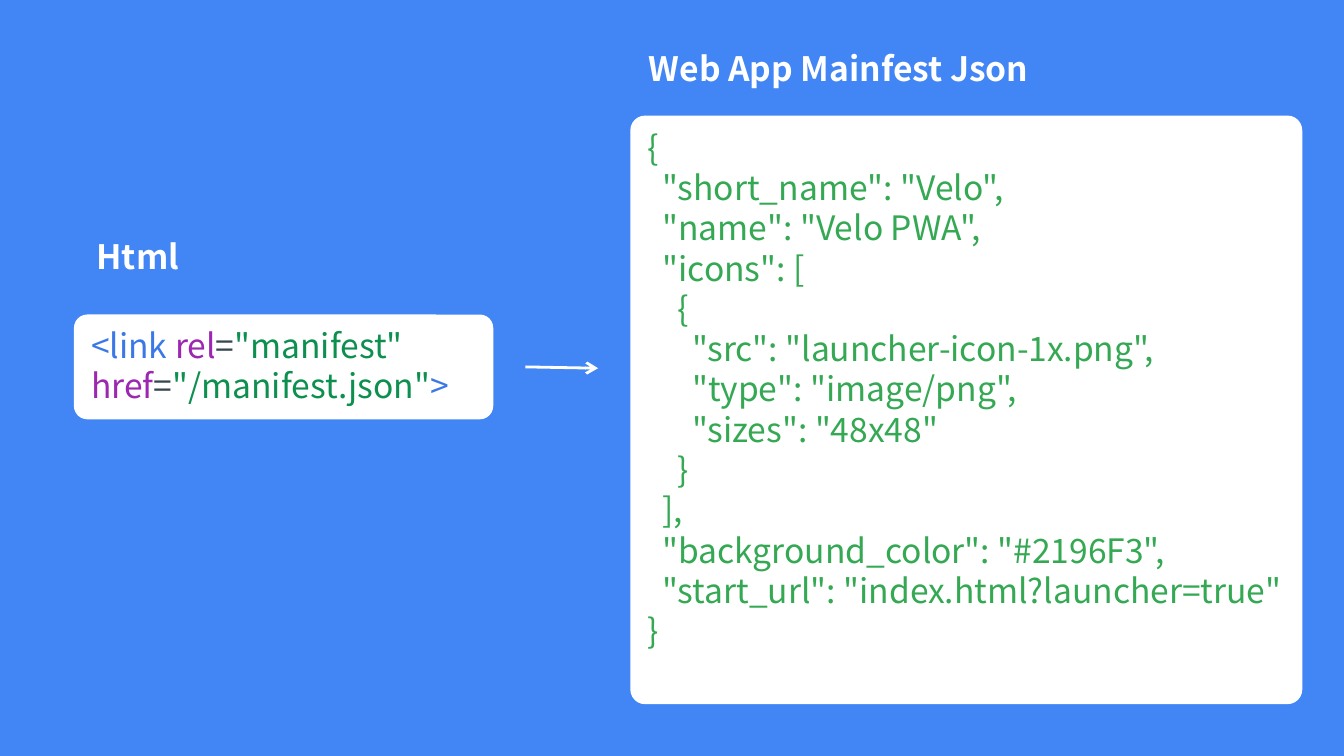
from lxml.etree import SubElement as Sub
from pptx import Presentation as Deck
from pptx.dml.color import RGBColor as Color
from pptx.enum.shapes import MSO_CONNECTOR as Link, MSO_SHAPE as Shape
from pptx.enum.text import MSO_ANCHOR as Anchor, PP_ALIGN as Align
from pptx.oxml.ns import qn
from pptx.util import Inches, Pt

BLUE = Color(0x42, 0x85, 0xF4)
WHITE = Color(0xFF, 0xFF, 0xFF)
GREEN = Color(0x34, 0xA8, 0x53)
TAG = Color(0x3B, 0x78, 0xE7)
ATTR = Color(0x9C, 0x27, 0xB0)
SIGN = Color(0x37, 0x47, 0x4F)
VALUE = Color(0x0D, 0x90, 0x4F)

FONT = {"name": "Noto Sans CJK SC", "size": Pt(18)}
STEP = 0.11  # indent of one nesting level

HTML = [
    ("<link ", TAG), ("rel", ATTR), ("=", SIGN), ('"manifest" ', VALUE),
    ("href", ATTR), ("=", SIGN), ('"/manifest.json"', VALUE), (">", TAG),
]
JSON = [
    (0, "{"),
    (1, '"short_name": "Velo",'),
    (1, '"name": "Velo PWA",'),
    (1, '"icons": ['),
    (2, "{"),
    (3, '"src": "launcher-icon-1x.png",'),
    (3, '"type": "image/png",'),
    (3, '"sizes": "48x48"'),
    (2, "}"),
    (1, "],"),
    (1, '"background_color": "#2196F3",'),
    (1, '"start_url": "index.html?launcher=true"'),
    (0, "}"),
]


def add_run(para, text, color, bold=False):
    run = para.add_run()
    run.text = text
    for key, value in {**FONT, "bold": bold}.items():
        setattr(run.font, key, value)
    run.font.color.rgb = color


def add_title(slide, text, *box):
    frame = slide.shapes.add_textbox(*map(Inches, box)).text_frame
    frame.word_wrap = False
    add_run(frame.paragraphs[0], text, WHITE, True)


def add_card(slide, radius, lines, *box):
    """White rounded card; each line is a nesting level and its coloured parts."""
    card = slide.shapes.add_shape(Shape.ROUNDED_RECTANGLE, *map(Inches, box))
    card.adjustments[0] = radius / min(box[2:])
    card.shadow.inherit = False
    card.fill.solid()
    card.fill.fore_color.rgb = WHITE
    card.line.fill.background()
    frame = card.text_frame
    for key, value in {"word_wrap": True, "vertical_anchor": Anchor.TOP}.items():
        setattr(frame, key, value)
    for i, (level, parts) in enumerate(lines):
        para = frame.add_paragraph() if i else frame.paragraphs[0]
        para.alignment = Align.LEFT
        if level:
            para._p.get_or_add_pPr().set("marL", str(Inches(level * STEP)))
        for text, color in parts:
            add_run(para, text, color)


def add_arrow(slide, *ends):
    arrow = slide.shapes.add_connector(Link.STRAIGHT, *map(Inches, ends))
    arrow.line.color.rgb = WHITE
    arrow.line.width = Pt(1.5)
    Sub(arrow.line._get_or_add_ln(), qn("a:tailEnd"), type="arrow")
    Sub(arrow._element.spPr, qn("a:effectLst"))


def main():
    deck = Deck()
    deck.slide_width = Inches(10)
    deck.slide_height = deck.slide_width * 9 // 16
    slide = deck.slides.add_slide(deck.slide_layouts[6])
    slide.background.fill.solid()
    slide.background.fill.fore_color.rgb = BLUE

    code = [(level, [(text, GREEN)]) for level, text in JSON]
    add_card(slide, 0.11, code, 4.69, 0.86, 5, 4.38)
    add_title(slide, "Web App Mainfest Json", 4.73, 0.31, 3.23, 0.4)
    add_card(slide, 0.1, [(0, HTML)], 0.55, 2.34, 3.12, 0.78)
    add_title(slide, "Html", 0.62, 1.71, 0.84, 0.4)
    add_arrow(slide, 3.91, 2.73, 4.45, 2.74)
    deck.save("out.pptx")


if __name__ == "__main__":
    main()
